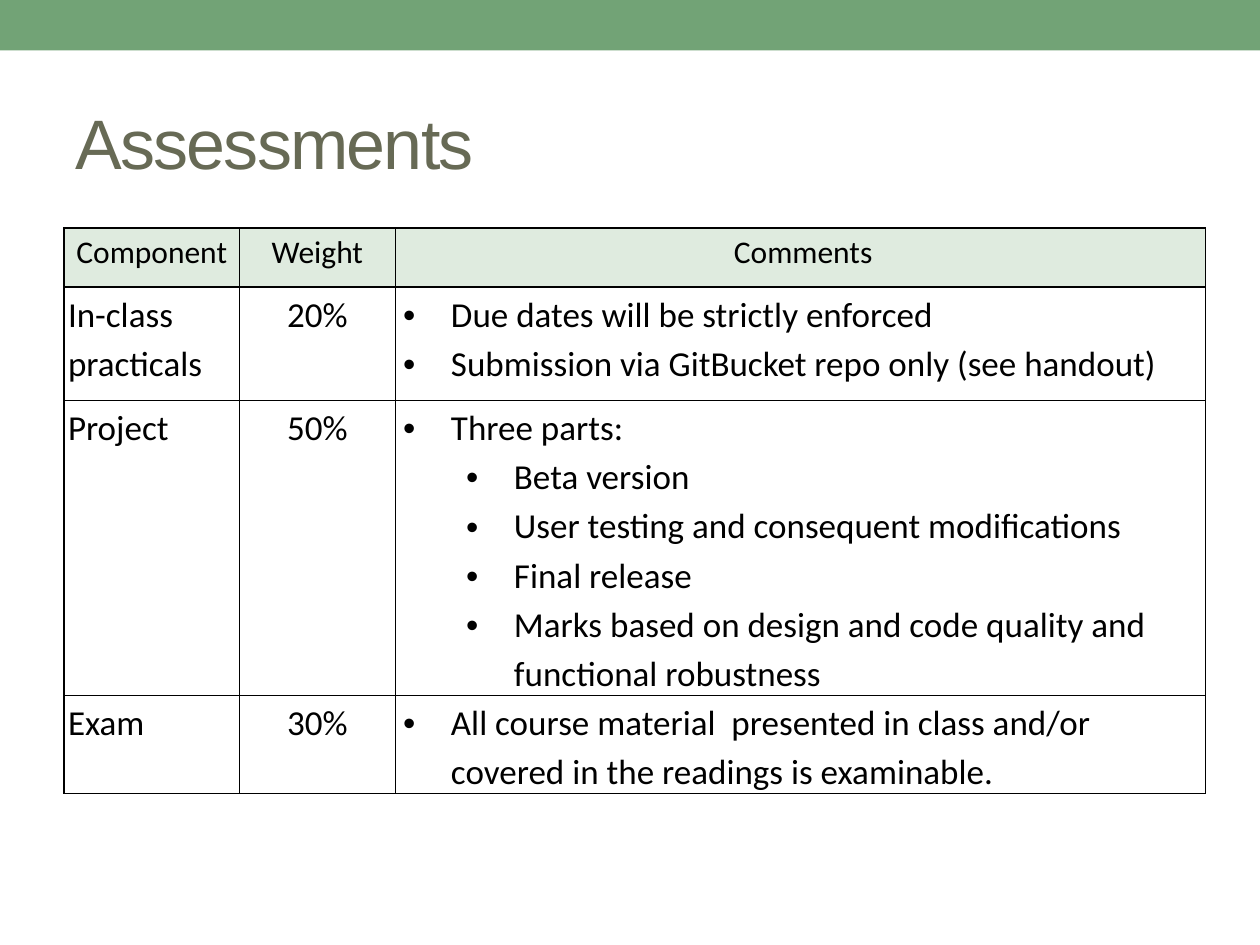
from lxml import etree
from pptx import Presentation
from pptx.dml.color import RGBColor
from pptx.enum import shapes, text
from pptx.oxml import ns
from pptx.util import Inches, Pt

GREEN = RGBColor(0x72, 0xA3, 0x76)
PALE_GREEN = RGBColor(0xDF, 0xEB, 0xDF)
OLIVE = RGBColor(0x67, 0x6A, 0x55)
BLACK = RGBColor(0, 0, 0)

# Content: each comment is (level, text)
TITLE = "Assessments"
HEADERS = ("Component", "Weight", "Comments")
ASSESSMENTS = [
    ("In-class practicals", "20%", [
        (0, "Due dates will be strictly enforced"),
        (0, "Submission via GitBucket repo only (see handout)"),
    ]),
    ("Project", "50%", [
        (0, "Three parts:"),
        (1, "Beta version"),
        (1, "User testing and consequent modifications"),
        (1, "Final release"),
        (1, "Marks based on design and code quality and functional robustness"),
    ]),
    ("Exam", "30%", [
        (0, "All course material  presented in class and/or "
            "covered in the readings is examinable."),
    ]),
]
COLUMN_WIDTHS = (1.39, 1.24, 6.43)
ROW_HEIGHTS = (0.47, 0.9, 2.34, 0.78)


def add_bullet(para, level):
    props = para._p.get_or_add_pPr()
    props.set("marL", str(Inches(0.41 + 0.5 * level)))
    props.set("indent", str(Inches(-0.38)))
    etree.SubElement(props, ns.qn("a:buFont"), typeface="Arial")
    etree.SubElement(props, ns.qn("a:buChar"), char="•")


def style(para, size, align=text.PP_ALIGN.LEFT):
    para.alignment = align
    para.line_spacing = 1.15
    para.font.name = "Calibri"
    para.font.size = Pt(size)
    para.font.bold = False
    para.font.color.rgb = BLACK


def format_cell(cell, fill=None):
    cell.margin_left = cell.margin_right = Inches(0.03)
    cell.margin_top = cell.margin_bottom = 0
    if fill is None:
        cell.fill.background()
    else:
        cell.fill.solid()
        cell.fill.fore_color.rgb = fill
    props = cell._tc.get_or_add_tcPr()
    for index, side in enumerate(("lnL", "lnR", "lnT", "lnB")):
        line = etree.Element(ns.qn("a:" + side), w=str(Pt(1)))
        solid = etree.SubElement(line, ns.qn("a:solidFill"))
        etree.SubElement(solid, ns.qn("a:srgbClr"), val=str(BLACK))
        props.insert(index, line)


deck = Presentation()
deck.slide_width, deck.slide_height = Inches(10), Inches(7.5)
page = deck.slides.add_slide(deck.slide_layouts[6])

# Top band
band = page.shapes.add_shape(shapes.MSO_SHAPE.RECTANGLE, 0, 0, deck.slide_width, Inches(0.4))
band.shadow.inherit = False
band.fill.solid()
band.fill.fore_color.rgb = GREEN
band.line.fill.background()

# Title
box = page.shapes.add_textbox(Inches(0.5), Inches(0.58), Inches(9), Inches(1.08))
box.text_frame.word_wrap = True
box.text_frame.vertical_anchor = text.MSO_ANCHOR.MIDDLE
para = box.text_frame.paragraphs[0]
span = para.add_run()
span.text = TITLE
span.font.name = "Arial"
span.font.size = Pt(40)
span.font.color.rgb = OLIVE
span._r.get_or_add_rPr().set("spc", "-100")

# Assessment table
table = page.shapes.add_table(
    len(ROW_HEIGHTS), len(COLUMN_WIDTHS), Inches(0.51), Inches(1.81),
    Inches(sum(COLUMN_WIDTHS)), Inches(sum(ROW_HEIGHTS))).table
for column, width in zip(table.columns, COLUMN_WIDTHS):
    column.width = Inches(width)
for row, height in zip(table.rows, ROW_HEIGHTS):
    row.height = Inches(height)

for cell, header in zip(table.rows[0].cells, HEADERS):
    format_cell(cell, PALE_GREEN)
    cell.text = header
    style(cell.text_frame.paragraphs[0], 18, text.PP_ALIGN.CENTER)
comments_header = table.cell(0, 2).text_frame.paragraphs[0]
comments_header._p.get_or_add_pPr().set("marL", str(Inches(0.04)))

for number, (component, weight, comments) in enumerate(ASSESSMENTS, start=1):
    name_cell, weight_cell, comment_cell = table.rows[number].cells
    for cell in (name_cell, weight_cell, comment_cell):
        format_cell(cell)
    name_cell.text = component
    style(name_cell.text_frame.paragraphs[0], 20)
    weight_cell.text = weight
    style(weight_cell.text_frame.paragraphs[0], 20, text.PP_ALIGN.CENTER)
    comment_cell.text = "\n".join(comment for _, comment in comments)
    for para, (level, _) in zip(comment_cell.text_frame.paragraphs, comments):
        para.level = level
        add_bullet(para, level)
        style(para, 20)

deck.save("out.pptx")
